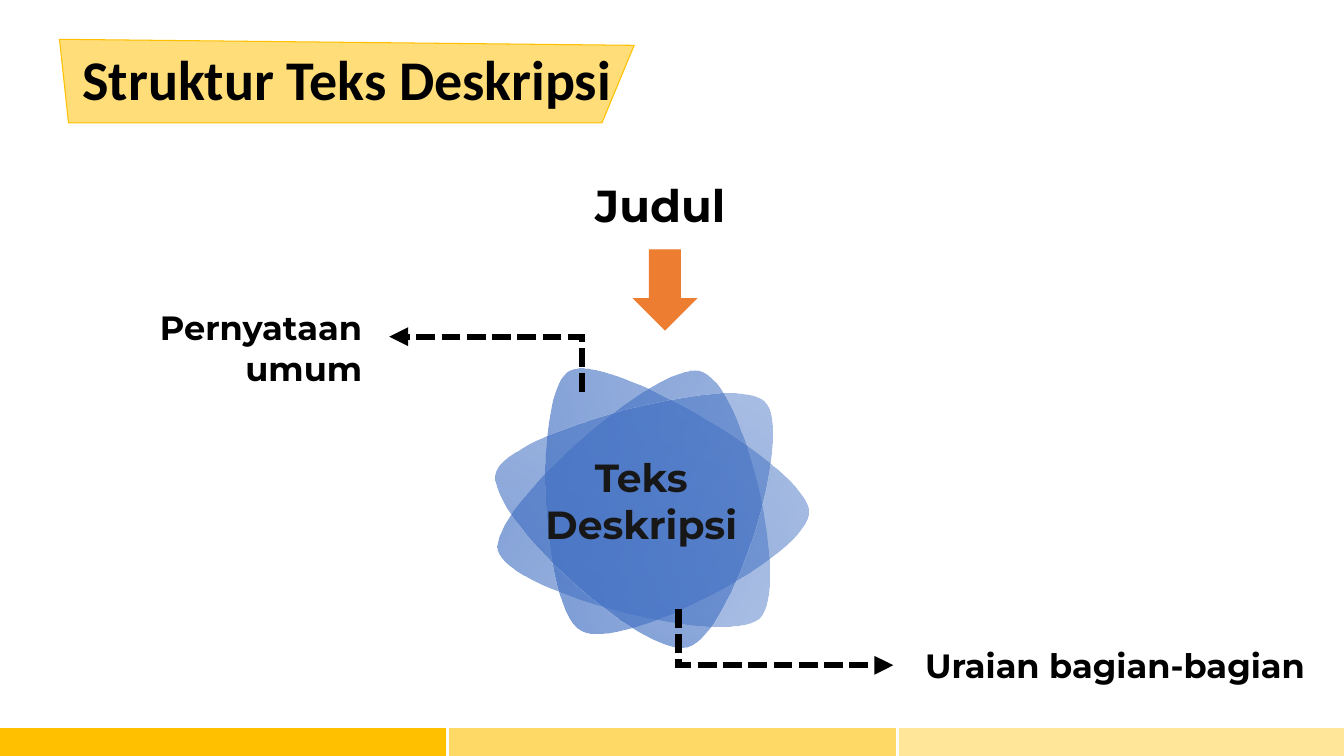
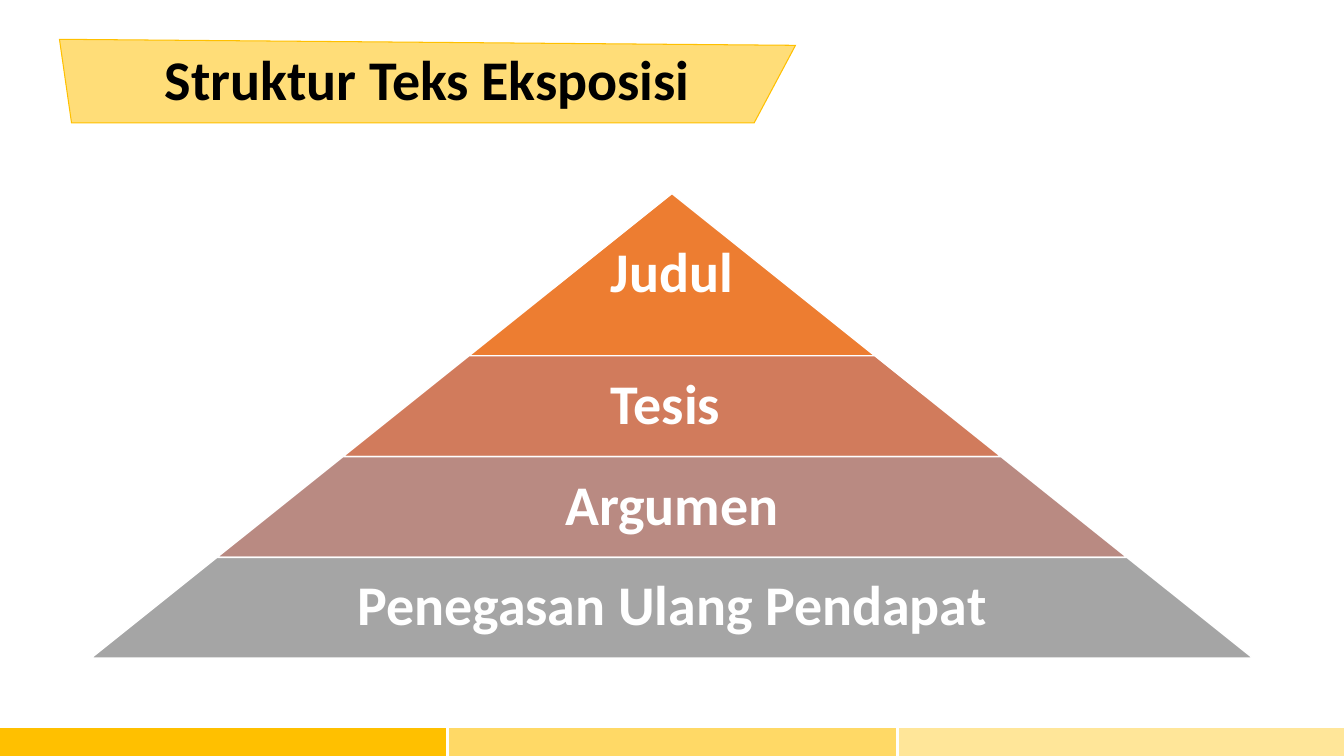
import math
import pptx
import pptx.util
import pptx.dml.color
import pptx.enum.dml
import pptx.enum.shapes
import pptx.enum.text
import pptx.oxml
import pptx.oxml.ns

Inches, Pt = pptx.util.Inches, pptx.util.Pt
RGB = pptx.dml.color.RGBColor
SHAPE = pptx.enum.shapes.MSO_SHAPE
ALIGN = pptx.enum.text.PP_ALIGN
ANCHOR = pptx.enum.text.MSO_ANCHOR
NS = pptx.oxml.ns.nsdecls("a")

BLACK = RGB(0x00, 0x00, 0x00)
WHITE = RGB(0xFF, 0xFF, 0xFF)
INK = RGB(0x18, 0x17, 0x17)
GOLD = RGB(0xFF, 0xC0, 0x00)
YELLOW = RGB(0xFF, 0xD9, 0x66)
CREAM = RGB(0xFF, 0xE6, 0x99)
ORANGE = RGB(0xED, 0x7D, 0x31)
RUST = RGB(0xD1, 0x7B, 0x5C)
ROSE = RGB(0xB9, 0x8A, 0x82)
GRAY = RGB(0xA5, 0xA5, 0xA5)
BLUE = RGB(0x44, 0x72, 0xC4)

# Content: banner title with its bottom left, bottom right and top right x
TITLES = [
    ("Struktur Teks Deskripsi", 0.68, 5.97, 6.29),
    ("Struktur Teks Eksposisi", 0.71, 7.48, 7.89),
]
BARS = [GOLD, YELLOW, CREAM]

# Each petal: frame, turn, start point, then three Bezier curves
# of two handles and an end, as they lie on the slide after the turn
PETALS = [
    ((4.94, 3.82, 2.57, 2.65), 256.5, (4.94, 5.45),
     [((5.04, 5.86), (7.18, 6.42), (7.52, 6.13)),
      ((7.85, 5.83), (7.37, 3.79), (6.94, 3.68)),
      ((6.52, 3.56), (4.85, 5.05), (4.94, 5.45))]),
    ((4.96, 3.98, 2.81, 2.43), 210, (5.76, 6.25),
     [((6.15, 6.48), (8.04, 5.49), (8.02, 5.07)),
      ((8.00, 4.64), (6.02, 3.49), (5.65, 3.68)),
      ((5.27, 3.88), (5.36, 6.02), (5.76, 6.25))]),
    ((5.09, 4.03, 2.81, 2.43), 165, (6.81, 6.42),
     [((7.25, 6.30), (7.89, 4.27), (7.57, 3.98)),
      ((7.26, 3.69), (5.05, 4.28), (4.92, 4.68)),
      ((4.79, 5.09), (6.37, 6.53), (6.81, 6.42))]),
]
UP_ARROW = [(5.77, 3.89), (5.77, 3.34), (3.86, 3.34)]
DOWN_ARROW = [(6.73, 6.04), (6.73, 6.6), (8.86, 6.6)]
CORE = ("Teks Deskripsi", (5.17, 4.45, 2.38, 1.04), 28, INK, ALIGN.CENTER)
FIRST = ("Pernyataan umum", (0.81, 3, 2.88, 0.91), 24, BLACK, ALIGN.RIGHT)
LAST = ("Uraian bagian-bagian", (8.62, 6.35, 4.42, 0.5), 24, BLACK,
        ALIGN.RIGHT)
HEAD = ("Judul", (5.11, 1.71, 2.88, 0.64), 32, BLACK, ALIGN.CENTER)

# Pyramid tiers: text, height, colour, text width as a share of the tier
TIERS = [
    ("Judul", 1.61, ORANGE, 1),
    ("Tesis ", 1, RUST, 0.65),
    ("Argumen", 1, ROSE, 0.65),
    ("Penegasan Ulang Pendapat", 1, GRAY, 0.65),
]
MID, TOP, SLOPE = 13.33 / 2, 1.92, 1.25


def write(frame, text, size, face, color, align):
    frame.word_wrap = True
    para = frame.paragraphs[0]
    para.text, para.alignment = text, align
    font = para.font
    font.size, font.name, font.bold = Pt(size), face, True
    font.color.rgb = color
    return para


def add_text(slide, box, *style):
    frame = slide.shapes.add_textbox(*map(Inches, box)).text_frame
    return frame, write(frame, *style)


def add_label(slide, text, box, size, color, align):
    add_text(slide, box, text, size, "Montserrat", color, align)


def add_xml(parent, xml):
    parent.append(pptx.oxml.parse_xml(xml))


def outline(shape, color, width):
    shape.line.color.rgb = color
    shape.line.width = Pt(width)
    add_xml(shape.line._get_or_add_ln(), f'<a:miter {NS} lim="800000"/>')


def paint(shape, fill, line, width=1):
    shape.shadow.inherit = False
    shape.fill.solid()
    shape.fill.fore_color.rgb = fill
    outline(shape, line, width)


def add_block(slide, kind, box, fill, line):
    shape = slide.shapes.add_shape(kind, *map(Inches, box))
    paint(shape, fill, line)
    return shape


def add_path(slide, points, close):
    spots = [(Inches(x), Inches(y)) for x, y in points]
    maker = slide.shapes.build_freeform(*spots[0])
    maker.add_line_segments(spots[1:], close=close)
    shape = maker.convert_to_shape()
    shape.shadow.inherit = False
    return shape


def add_petal(slide, box, turn, start, curves):
    x, y, wide, high = box
    petal = add_path(slide, [(x, y), (x + wide, y), (x + wide, y + high),
                             (x, y + high)], True)
    petal.rotation = turn
    petal.line.fill.background()
    cos, sin = math.cos(math.radians(turn)), math.sin(math.radians(turn))

    def spot(point):
        # Undo the turn about the centre of the frame
        dx, dy = point[0] - x - wide / 2, point[1] - y - high / 2
        left = Inches(wide / 2 + dx * cos + dy * sin)
        top = Inches(high / 2 - dx * sin + dy * cos)
        return f'<a:pt x="{left}" y="{top}"/>'

    # Curved outline in place of the frame
    route = petal._element.find(".//" + pptx.oxml.ns.qn("a:path"))
    parts = "".join("<a:cubicBezTo>" + "".join(map(spot, curve))
                    + "</a:cubicBezTo>" for curve in curves)
    new = pptx.oxml.parse_xml(
        f'<a:path {NS} w="{Inches(wide)}" h="{Inches(high)}">'
        f'<a:moveTo>{spot(start)}</a:moveTo>{parts}<a:close/></a:path>')
    route.getparent().replace(route, new)

    # Fading fill
    petal.fill.gradient()
    old = petal.fill._xPr.find(pptx.oxml.ns.qn("a:gradFill"))
    stops = "".join(
        f'<a:gs pos="{pos}"><a:srgbClr val="{BLUE}">'
        f'<a:alpha val="{alpha}"/></a:srgbClr></a:gs>'
        for pos, alpha in [(0, 70000), (100000, 46000)])
    old.getparent().replace(old, pptx.oxml.parse_xml(
        f'<a:gradFill {NS} rotWithShape="1"><a:gsLst>{stops}</a:gsLst>'
        f'<a:lin ang="{135 * 60000}" scaled="0"/></a:gradFill>'))


def add_arrow(slide, points):
    arrow = add_path(slide, points, False)
    arrow.fill.background()
    arrow.line.dash_style = pptx.enum.dml.MSO_LINE.SQUARE_DOT
    outline(arrow, BLACK, 4.5)
    add_xml(arrow.line._get_or_add_ln(), f'<a:tailEnd {NS} type="triangle"/>')


def add_base(deck, title, left, right, tip):
    slide = deck.slides.add_slide(deck.slide_layouts[6])
    # Footer bars
    for i, color in enumerate(BARS):
        add_block(slide, SHAPE.RECTANGLE, (i * 4.46, 7.23, 4.42, 0.27),
                  color, color)
    # Title banner
    banner = add_path(
        slide, [(0.59, 0.39), (left, 1.22), (right, 1.22), (tip, 0.45)], True)
    paint(banner, YELLOW, GOLD, 0.75)
    tint = banner.fill._xPr.find(".//" + pptx.oxml.ns.qn("a:srgbClr"))
    add_xml(tint, f'<a:alpha {NS} val="88000"/>')
    write(banner.text_frame, title, 40, "Calibri", BLACK, ALIGN.CENTER)
    banner.text_frame.vertical_anchor = ANCHOR.TOP
    return slide


def draw_flower(slide):
    for petal in PETALS:
        add_petal(slide, *petal)
    add_label(slide, *CORE)
    for points, label in [(UP_ARROW, FIRST), (DOWN_ARROW, LAST)]:
        add_arrow(slide, points)
        add_label(slide, *label)
    add_label(slide, *HEAD)
    add_block(slide, SHAPE.DOWN_ARROW, (6.29, 2.48, 0.61, 0.79),
              ORANGE, ORANGE)


def draw_pyramid(slide):
    depth = 0
    for text, high, color, share in TIERS:
        y = TOP + depth
        depth += high
        wide = 2 * SLOPE * depth
        tier = add_block(slide, SHAPE.TRAPEZOID,
                         (MID - wide / 2, y, wide, high), color, WHITE)
        tier.adjustments[0] = SLOPE
        span = wide * share
        frame, para = add_text(slide, (MID - span / 2, y, span, high), text,
                               40, "Calibri", WHITE, ALIGN.CENTER)
        frame.vertical_anchor = ANCHOR.MIDDLE
        frame.margin_left = frame.margin_right = Inches(0.06)
        frame.margin_top = frame.margin_bottom = Inches(0.06)
        para.line_spacing = 0.9


def main():
    deck = pptx.Presentation()
    deck.slide_width, deck.slide_height = Inches(13.33), Inches(7.5)
    for title, draw in zip(TITLES, [draw_flower, draw_pyramid]):
        draw(add_base(deck, *title))
    deck.save("out.pptx")


if __name__ == "__main__":
    main()
